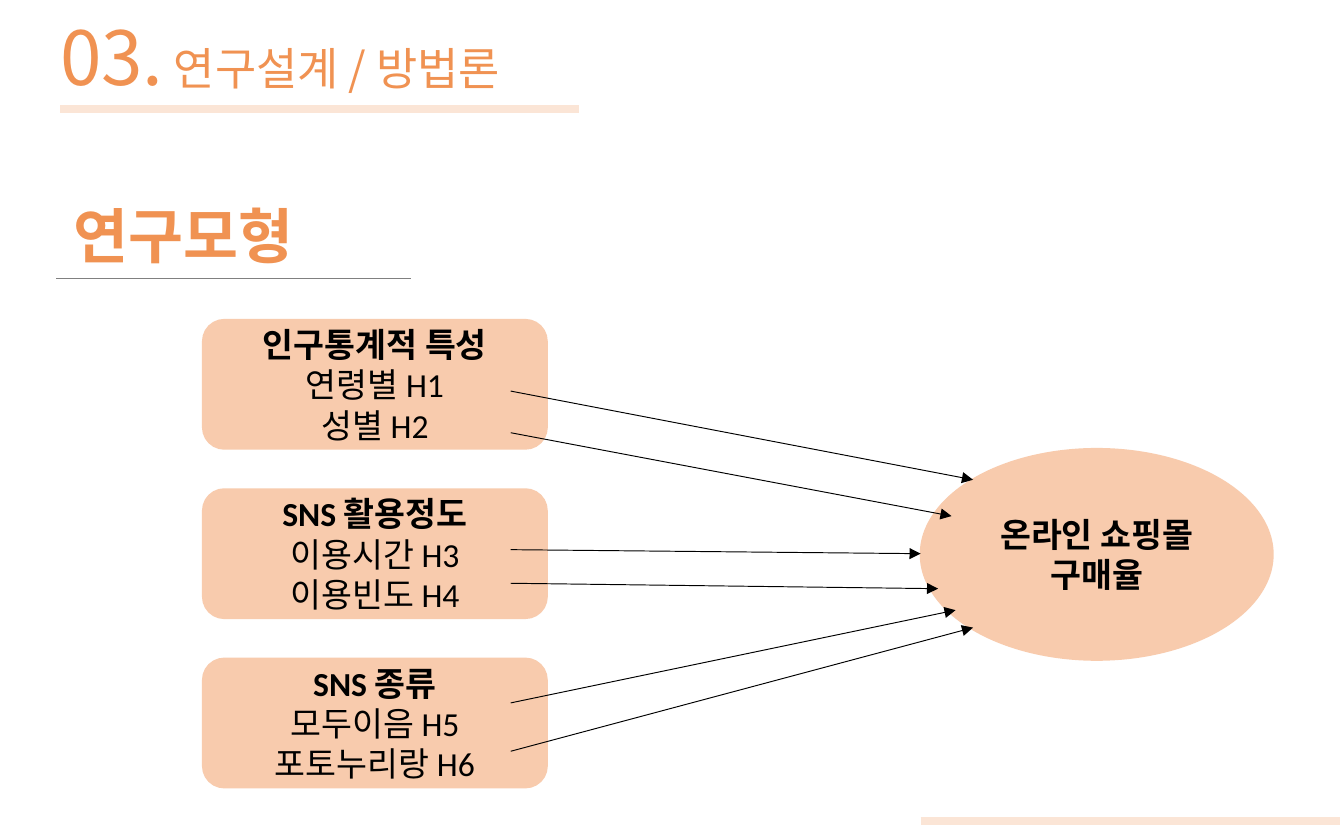
from dataclasses import dataclass

from lxml import etree
from pptx import Presentation
from pptx import util as u
from pptx.dml.color import RGBColor
from pptx.enum import shapes, text
from pptx.oxml.ns import qn


@dataclass(frozen=True)
class Theme:
    accent: str = "F09252"
    pale: str = "FBE5D6"
    fill: str = "F8CBAD"
    rule: str = "808080"
    ink: str = "000000"
    heading_font: str = "Noto Sans CJK KR"
    body_font: str = "Calibri"
    number_size: int = 40
    title_size: int = 24
    heading_size: int = 32
    body_size: int = 18


THEME = Theme()

FACTORS = [
    ("인구통계적 특성", "연령별 H1", "성별 H2"),
    ("SNS 활용정도", "이용시간 H3", "이용빈도 H4"),
    ("SNS 종류", "모두이음 H5", "포토누리랑 H6"),
]
FACTOR_TOP, FACTOR_STEP = 2.38, 1.26

# Start height of each hypothesis arrow, then its end point on the ellipse
ARROW_LEFT = 3.8
HYPOTHESES = [
    (2.91, 7.24, 3.57),
    (3.22, 7.08, 3.84),
    (4.09, 6.85, 4.12),
    (4.34, 6.98, 4.38),
    (5.23, 7.11, 4.54),
    (5.59, 7.24, 4.67),
]


def style_font(font, name, size, color, bold=False):
    font.name = name
    font.size = u.Pt(size)
    font.bold = bold
    font.color.rgb = RGBColor.from_string(color)


def add_line(page, start, end, color, width, arrow=False):
    line = page.shapes.add_connector(
        shapes.MSO_CONNECTOR.STRAIGHT, *map(u.Inches, start + end))
    line.line.color.rgb = RGBColor.from_string(color)
    line.line.width = u.Pt(width)
    if arrow:
        outline = line.line._get_or_add_ln()
        etree.SubElement(outline, qn("a:tailEnd"), type="triangle")
    etree.SubElement(line._element.spPr, qn("a:effectLst"))


def add_heading(page, place, spans, bold=False):
    """Add a one-line heading from (wording, size) spans."""
    box = page.shapes.add_textbox(*map(u.Inches, place))
    box.text_frame.word_wrap = True
    para = box.text_frame.paragraphs[0]
    style_font(para.font, THEME.heading_font, spans[0][1], THEME.accent, bold)
    for wording, size in spans:
        span = para.add_run()
        span.text = wording
        style_font(span.font, THEME.heading_font, size, THEME.accent, bold)


def add_node(page, kind, place, lines):
    """Add a filled shape whose first line is bold."""
    node = page.shapes.add_shape(kind, *map(u.Inches, place))
    node.shadow.inherit = False
    node.fill.solid()
    node.fill.fore_color.rgb = RGBColor.from_string(THEME.fill)
    node.line.color.rgb = RGBColor.from_string(THEME.fill)
    node.line.width = u.Pt(1)
    frame = node.text_frame
    frame.word_wrap = True
    frame.vertical_anchor = text.MSO_ANCHOR.MIDDLE
    frame.text = "\n".join(lines)
    for index, para in enumerate(frame.paragraphs):
        para.alignment = text.PP_ALIGN.CENTER
        style_font(para.font, THEME.body_font, THEME.body_size, THEME.ink,
                   bold=index == 0)


def main():
    deck = Presentation()
    deck.slide_width, deck.slide_height = u.Inches(10), u.Inches(6.25)
    page = deck.slides.add_slide(deck.slide_layouts[6])

    # Section title, heading and rules
    add_line(page, (0.45, 0.81), (4.31, 0.81), THEME.pale, 4)
    add_heading(page, (0.35, 0.03, 3.85, 0.77),
                [("03.", THEME.number_size),
                 (" 연구설계 / 방법론", THEME.title_size)])
    add_heading(page, (0.45, 1.43, 2, 0.64),
                [("연구모형", THEME.heading_size)], bold=True)
    add_line(page, (0.42, 2.07), (3.06, 2.07), THEME.rule, 0.5)
    add_line(page, (6.85, 6.11), (9.97, 6.11), THEME.pale, 4)

    # Factors and outcome
    for row, lines in enumerate(FACTORS):
        top = FACTOR_TOP + row * FACTOR_STEP
        add_node(page, shapes.MSO_SHAPE.ROUNDED_RECTANGLE,
                 (1.51, top, 2.56, 0.96), lines)
    add_node(page, shapes.MSO_SHAPE.OVAL, (6.85, 3.34, 2.62, 1.57),
             ["온라인 쇼핑몰 구매율"])

    # Hypothesis arrows
    for start_y, end_x, end_y in HYPOTHESES:
        add_line(page, (ARROW_LEFT, start_y), (end_x, end_y),
                 THEME.ink, 0.5, arrow=True)

    deck.save("out.pptx")


if __name__ == "__main__":
    main()
